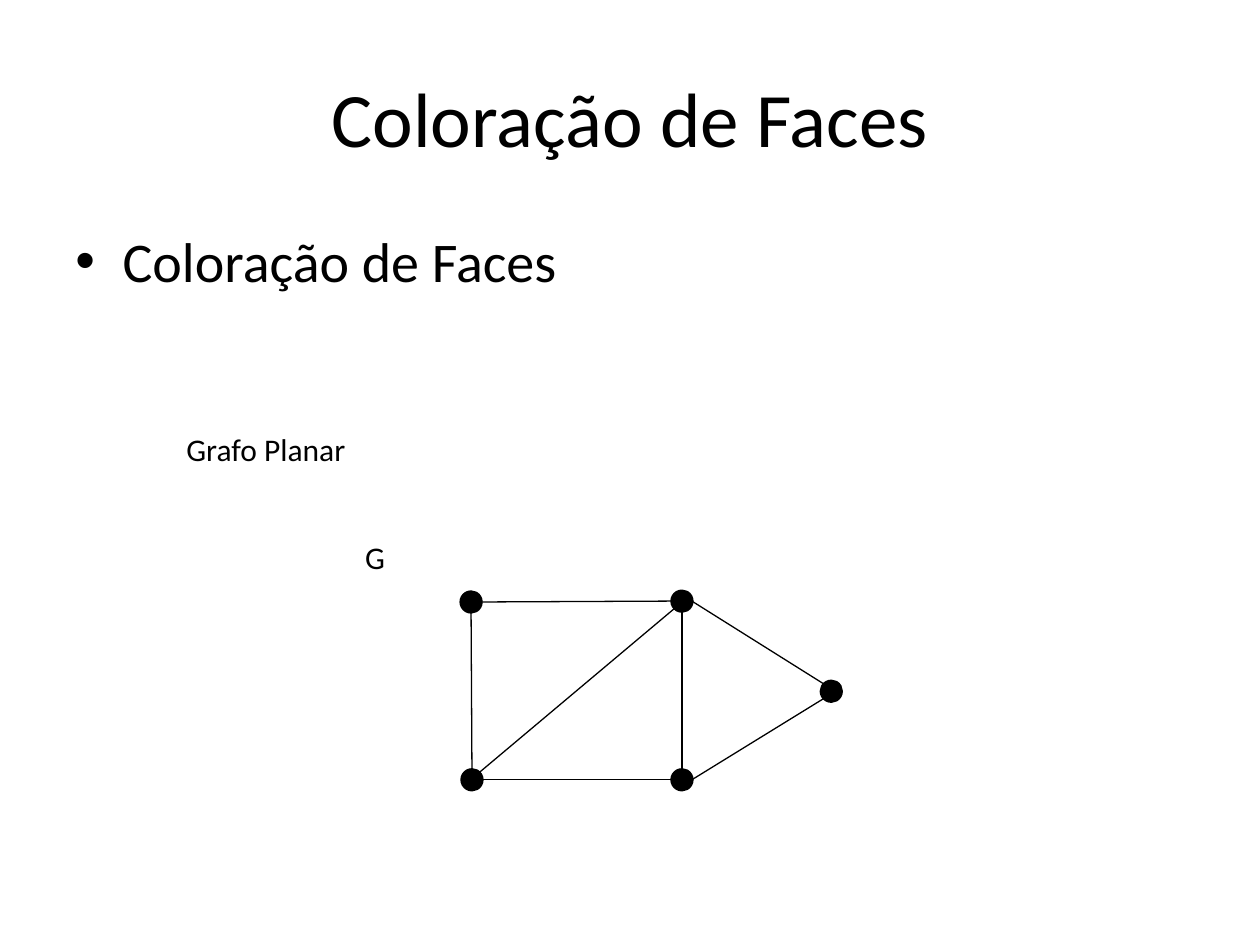
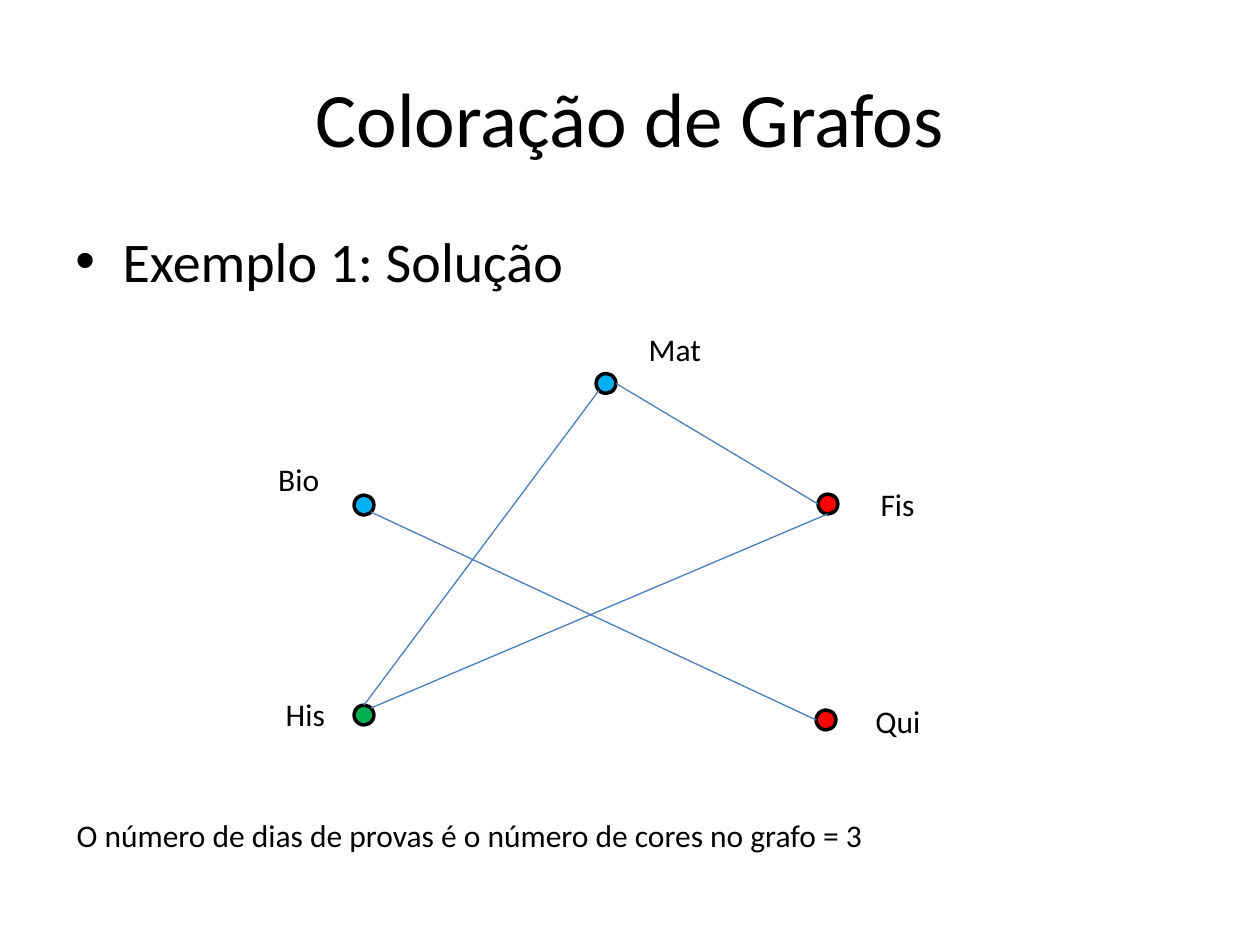
import math

from lxml import etree
from pptx import Presentation
from pptx import util as u
from pptx.dml.color import RGBColor
from pptx.enum import shapes, text
from pptx.oxml.ns import qn

FONT = "Calibri"
COLORS = {
    "black": "000000",
    "white": "FFFFFF",
    "blue": "00B0F0",
    "green": "00B050",
    "red": "FF0000",
    "edge": "4B7EBC",
}
NODE = 11.3
SITES = {"e": 0, "se": 45, "s": 90, "sw": 135, "w": 180, "nw": 225, "n": 270, "ne": 315}
TITLE_BOX = (36, 21.6, 648, 90)
BODY_BOX = (36, 126, 648, 65)


def rgb(name):
    return RGBColor.from_string(COLORS[name])


def add_text(s, box, content, size, wrap=True):
    sp = s.shapes.add_textbox(*map(u.Pt, box))
    tf = sp.text_frame
    tf.word_wrap = wrap
    if not wrap:
        tf.auto_size = text.MSO_AUTO_SIZE.SHAPE_TO_FIT_TEXT
    p = tf.paragraphs[0]
    r = p.add_run()
    r.text = content
    r.font.name = FONT
    r.font.size = u.Pt(size)
    r.font.color.rgb = rgb("black")
    return tf, p


def add_label(s, left, top, width, content):
    add_text(s, (left, top, width, 29), content, 18, wrap=False)


def add_title(s, box, content):
    tf, p = add_text(s, box, content, 44)
    tf.vertical_anchor = text.MSO_ANCHOR.MIDDLE
    p.alignment = text.PP_ALIGN.CENTER


def add_bullet(s, box, content):
    tf, p = add_text(s, box, content, 32)
    pPr = p._p.get_or_add_pPr()
    pPr.set("marL", str(u.Pt(27)))
    pPr.set("indent", str(u.Pt(-27)))
    etree.SubElement(pPr, qn("a:buFont"), typeface="Arial")
    etree.SubElement(pPr, qn("a:buChar"), char="•")


def add_node(s, x, y, color):
    sp = s.shapes.add_shape(
        shapes.MSO_SHAPE.OVAL, u.Pt(x - NODE / 2), u.Pt(y - NODE / 2), u.Pt(NODE), u.Pt(NODE)
    )
    sp.shadow.inherit = False
    sp.fill.solid()
    sp.fill.fore_color.rgb = rgb(color)
    sp.line.color.rgb = rgb("black")
    sp.line.width = u.Pt(2)


def site_point(node, site):
    angle = math.radians(SITES[site])
    return (
        u.Pt(node[0] + NODE / 2 * math.cos(angle)),
        u.Pt(node[1] + NODE / 2 * math.sin(angle)),
    )


def add_edge(s, start, end, color):
    line = s.shapes.add_connector(shapes.MSO_CONNECTOR.STRAIGHT, *start, *end)
    line.line.color.rgb = rgb(color)
    line.line.width = u.Pt(0.75)
    etree.SubElement(line._element.spPr, qn("a:effectLst"))


def add_graph(s, origin, nodes, edges, labels, edge_color):
    left, top = origin
    placed = {name: (left + x, top + y) for name, (x, y, _) in nodes.items()}
    for name, (x, y) in placed.items():
        add_node(s, x, y, nodes[name][2])
    for a, a_site, b, b_site in edges:
        add_edge(s, site_point(placed[a], a_site), site_point(placed[b], b_site), edge_color)
    for x, y, width, content in labels:
        add_label(s, left + x, top + y, width, content)


def add_topic_slide(prs, title, bullet):
    s = prs.slides.add_slide(prs.slide_layouts[6])
    s.background.fill.solid()
    s.background.fill.fore_color.rgb = rgb("white")
    add_title(s, TITLE_BOX, title)
    add_bullet(s, BODY_BOX, bullet)
    return s


def build_faces(prs):
    s = add_topic_slide(prs, "Coloração de Faces", "Coloração de Faces")
    nodes = {
        "top_left": (174.2, 109, "black"),
        "top_right": (294.7, 108.5, "black"),
        "bottom_left": (174.7, 210.6, "black"),
        "bottom_right": (294.7, 210.6, "black"),
        "tip": (380, 160, "black"),
    }
    edges = [
        ("top_left", "e", "top_right", "w"),
        ("top_right", "s", "bottom_right", "n"),
        ("bottom_right", "w", "bottom_left", "e"),
        ("top_left", "s", "bottom_left", "n"),
        ("top_right", "sw", "bottom_left", "ne"),
        ("top_right", "e", "tip", "nw"),
        ("bottom_right", "e", "tip", "sw"),
    ]
    labels = [(106.6, 68.8, 26, "G"), (4.4, 6.9, 110, "Grafo Planar")]
    add_graph(s, (95, 235), nodes, edges, labels, "black")


def build_exams(prs):
    s = add_topic_slide(prs, "Coloração de Grafos", "Exemplo 1: Solução")
    nodes = {
        "Bio": (58, 108.6, "blue"),
        "His": (58, 228.6, "green"),
        "Fis": (323.1, 108, "red"),
        "Mat": (196.3, 39.1, "blue"),
        "Qui": (322, 231.4, "red"),
    }
    edges = [
        ("Mat", "e", "Fis", "w"),
        ("Bio", "se", "Qui", "w"),
        ("Fis", "s", "His", "ne"),
        ("Mat", "sw", "His", "n"),
    ]
    labels = [
        (213.6, 5, 44.6, "Mat"),
        (346.1, 93.6, 33.8, "Fis"),
        (343.2, 217.4, 40.3, "Qui"),
        (6.2, 213.8, 37.4, "His"),
        (1.9, 79.2, 38.2, "Bio"),
    ]
    add_graph(s, (150, 180), nodes, edges, labels, "edge")
    add_label(s, 36.7, 463, 469.4, "O número de dias de provas é o número de cores no grafo = 3")


def main():
    prs = Presentation()
    prs.slide_width, prs.slide_height = u.Pt(720), u.Pt(540)
    build_faces(prs)
    build_exams(prs)
    prs.save("out.pptx")


if __name__ == "__main__":
    main()
